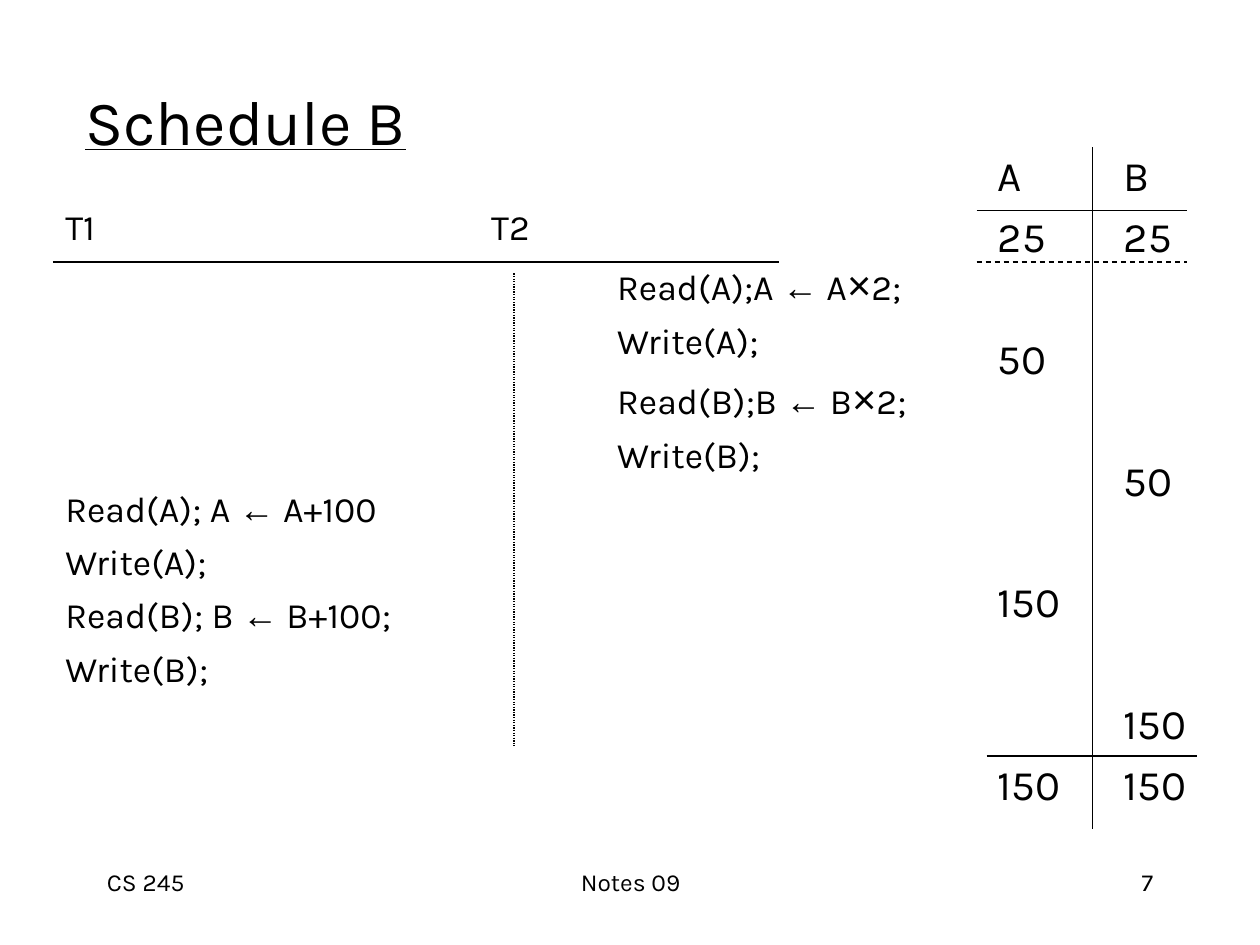
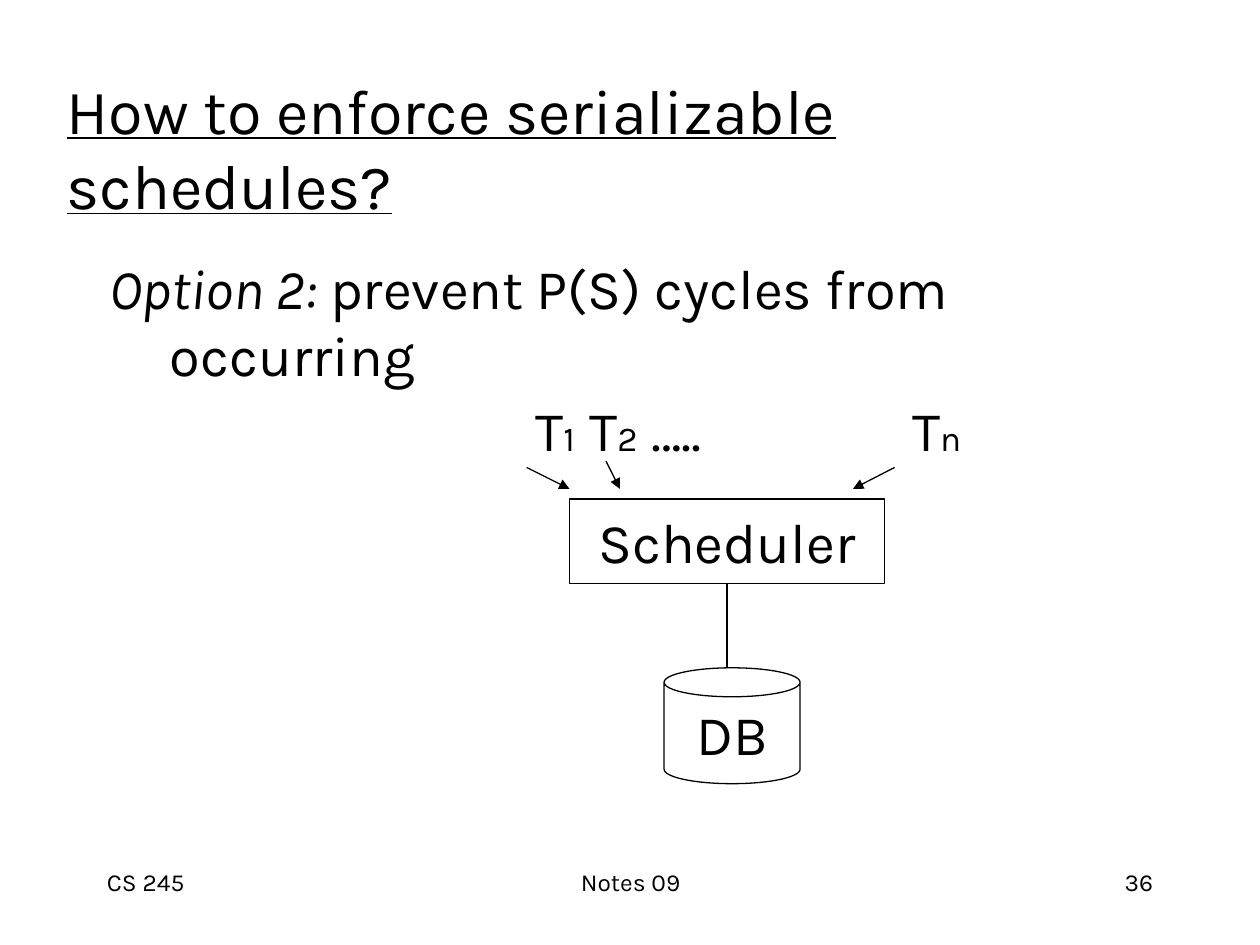
from dataclasses import dataclass
from itertools import groupby

from lxml import etree
from pptx import Presentation
from pptx.dml.color import RGBColor
from pptx.enum import dml, shapes, text
from pptx.oxml.ns import qn
from pptx.util import Inches, Pt


@dataclass(frozen=True)
class Theme:
    ink: RGBColor = RGBColor(0, 0, 0)
    paper: RGBColor = RGBColor(255, 255, 255)
    font: str = "Karla"
    symbol_font: str = "Arial"
    title: float = 36
    large: float = 32
    value: float = 24
    times: float = 23.8
    code: float = 20.4
    index: float = 20
    footer: float = 14
    rule: float = 0.75


T = Theme()
W, H = 10, 7.5
LEFT, CENTER, RIGHT = (text.PP_ALIGN.LEFT, text.PP_ALIGN.CENTER,
                       text.PP_ALIGN.RIGHT)
DASH, DOT = dml.MSO_LINE.DASH, dml.MSO_LINE.ROUND_DOT

# Content: footer cells as (text, left, width, alignment)
FOOTER = [("CS 245", 0.75, 2.08, LEFT), ("Notes 09", 3.42, 3.17, CENTER)]
PAGE_CELL = (7.17, 2.08, RIGHT)

# Content: schedule B, statements per transaction
T2_STEPS = ["Read(A);A ← A×2;", "Write(A);", "Read(B);B ← B×2;", "Write(B);"]
T1_STEPS = ["Read(A); A ← A+100", "Write(A);", "Read(B); B ← B+100;",
            "Write(B);"]
STEPS_LEFT, STEPS_TOP = 0.42, 1.58
T2_HEAD, T2_INDENT = 3.38, 4.38

# Content: columns A and B, values by row of the value grid
VALUES = [{0: "A", 1: "25", 3: "50", 7: "150", 10: "150"},
          {0: "B", 1: "25", 5: "50", 9: "150", 10: "150"}]
VALUES_LEFT, VALUES_TOP, VALUE_COLUMN = 7.82, 1.14, 1
VALUE_ROW, VALUE_GAP = 34.75, 6
SCHEDULE_RULES = [
    ((0.42, 2.08), (6.18, 2.08), None),
    ((4.08, 2.17), (4.08, 5.92), DOT),
    ((7.75, 1.67), (9.42, 1.67), None),
    ((7.75, 2.08), (9.42, 2.08), DASH),
    ((8.67, 1.17), (8.67, 6.58), None),
    ((7.83, 6), (9.5, 6), None),
]

# Content: scheduler diagram
TRANSACTIONS = [("T", "1", 4.15), ("T", "2", 4.58), ("…..", "", 5.07),
                ("T", "n", 7.14)]
NODES = [("Scheduler", shapes.MSO_SHAPE.RECTANGLE, (4.52, 3.96, 2.5, 0.67)),
         ("DB", shapes.MSO_SHAPE.CAN, (5.27, 5.3, 1.08, 0.92))]
ARROWS = [((4.18, 3.71), (4.52, 3.88)), ((4.81, 3.66), (4.92, 3.88)),
          ((7.1, 3.71), (6.77, 3.88))]


def style(font, size, **flags):
    font.name, font.size = T.font, Pt(size)
    font.color.rgb = T.ink
    for name, value in flags.items():
        setattr(font, name, value)


def add_box(s, left, top, width, height, anchor=text.MSO_ANCHOR.TOP):
    box = s.shapes.add_textbox(*map(Inches, (left, top, width, height)))
    tf = box.text_frame
    tf.word_wrap, tf.vertical_anchor = True, anchor
    return tf


def add_paragraph(tf, content, size, before=0, align=LEFT, margin=0, hang=0,
                  **flags):
    """Fill the empty first paragraph, or append one, and style it."""
    p = tf.paragraphs[0]
    if p.runs:
        p = tf.add_paragraph()
    p.alignment, p.space_before = align, Pt(before)
    pPr = p._p.get_or_add_pPr()
    pPr.set("marL", str(Inches(margin)))
    pPr.set("indent", str(-Inches(hang)))
    style(p.font, size, **flags)
    # Arrows and multiplication signs take the symbol font
    for kind, chars in groupby(content, lambda c: c if c in "←×" else ""):
        r = p.add_run()
        r.text = "".join(chars)
        if kind:
            r.font.name = T.symbol_font
        if kind == "×":
            r.font.size = Pt(T.times)
    return p


def add_line(s, start, end, dash=None, arrow=False):
    ln = s.shapes.add_connector(shapes.MSO_CONNECTOR.STRAIGHT,
                                *map(Inches, start + end))
    ln.line.color.rgb, ln.line.width = T.ink, Pt(T.rule)
    if dash:
        ln.line.dash_style = dash
    if arrow:
        etree.SubElement(ln.line._get_or_add_ln(), qn("a:tailEnd"),
                         type="triangle")
    etree.SubElement(ln._element.spPr, qn("a:effectLst"))


def add_node(s, label, kind, area):
    sp = s.shapes.add_shape(kind, *map(Inches, area))
    sp.shadow.inherit = False
    sp.fill.solid()
    sp.fill.fore_color.rgb = T.paper
    sp.line.color.rgb, sp.line.width = T.ink, Pt(T.rule)
    tf = sp.text_frame
    tf.word_wrap, tf.vertical_anchor = False, text.MSO_ANCHOR.MIDDLE
    add_paragraph(tf, label, T.large, align=CENTER)


def add_slide(prs, title, title_area, page):
    s = prs.slides.add_slide(prs.slide_layouts[6])
    for label, left, width, align in FOOTER + [(page, *PAGE_CELL)]:
        add_paragraph(add_box(s, left, 6.83, width, 0.5), label, T.footer,
                      align=align)
    add_paragraph(add_box(s, *title_area, text.MSO_ANCHOR.MIDDLE), title,
                  T.title, underline=True)
    return s


def build_schedule(prs):
    s = add_slide(prs, "Schedule B", (0.58, 0.33, 8.5, 1.25), "7")
    # Statements, T2 indented to its own column
    tf = add_box(s, STEPS_LEFT, STEPS_TOP, 7.17, 4.75)
    add_paragraph(tf, "T1", T.code, before=6)
    for steps, margin in ((T2_STEPS, T2_INDENT), (T1_STEPS, 0)):
        for step in steps:
            add_paragraph(tf, step, T.code, before=6, margin=margin)
    tf = add_box(s, STEPS_LEFT + T2_HEAD, STEPS_TOP, 1, 0.5)
    add_paragraph(tf, "T2", T.code, before=6)
    # One box per value column, skipped rows become spacing
    for i, column in enumerate(VALUES):
        tf = add_box(s, VALUES_LEFT + i * VALUE_COLUMN, VALUES_TOP,
                     VALUE_COLUMN, 5.34)
        last = -1
        for row, value in column.items():
            gap = VALUE_GAP + (row - last - 1) * VALUE_ROW
            add_paragraph(tf, value, T.value, before=gap)
            last = row
    for start, end, dash in SCHEDULE_RULES:
        add_line(s, start, end, dash)


def build_scheduler(prs):
    s = add_slide(prs, "How to enforce serializable schedules?",
                  (0.43, 0.54, 8.75, 1.25), "36")
    tf = add_box(s, 0.77, 1.96, 8.5, 1.2)
    p = add_paragraph(tf, "Option 2:", T.large, before=8, margin=0.48,
                      hang=0.48)
    p.runs[0].font.italic = True
    p.add_run().text = " prevent P(S) cycles from occurring"
    # Transactions feeding the scheduler
    for name, index, left in TRANSACTIONS:
        p = add_paragraph(add_box(s, left, 3.09, 0.8, 0.63), name, T.large)
        if index:
            r = p.add_run()
            r.text, r.font.size = index, Pt(T.index)
    for node in NODES:
        add_node(s, *node)
    add_line(s, (5.77, 4.63), (5.77, 5.3))
    for start, end in ARROWS:
        add_line(s, start, end, arrow=True)


def main():
    prs = Presentation()
    prs.slide_width, prs.slide_height = Inches(W), Inches(H)
    build_schedule(prs)
    build_scheduler(prs)
    prs.save("out.pptx")


if __name__ == "__main__":
    main()
